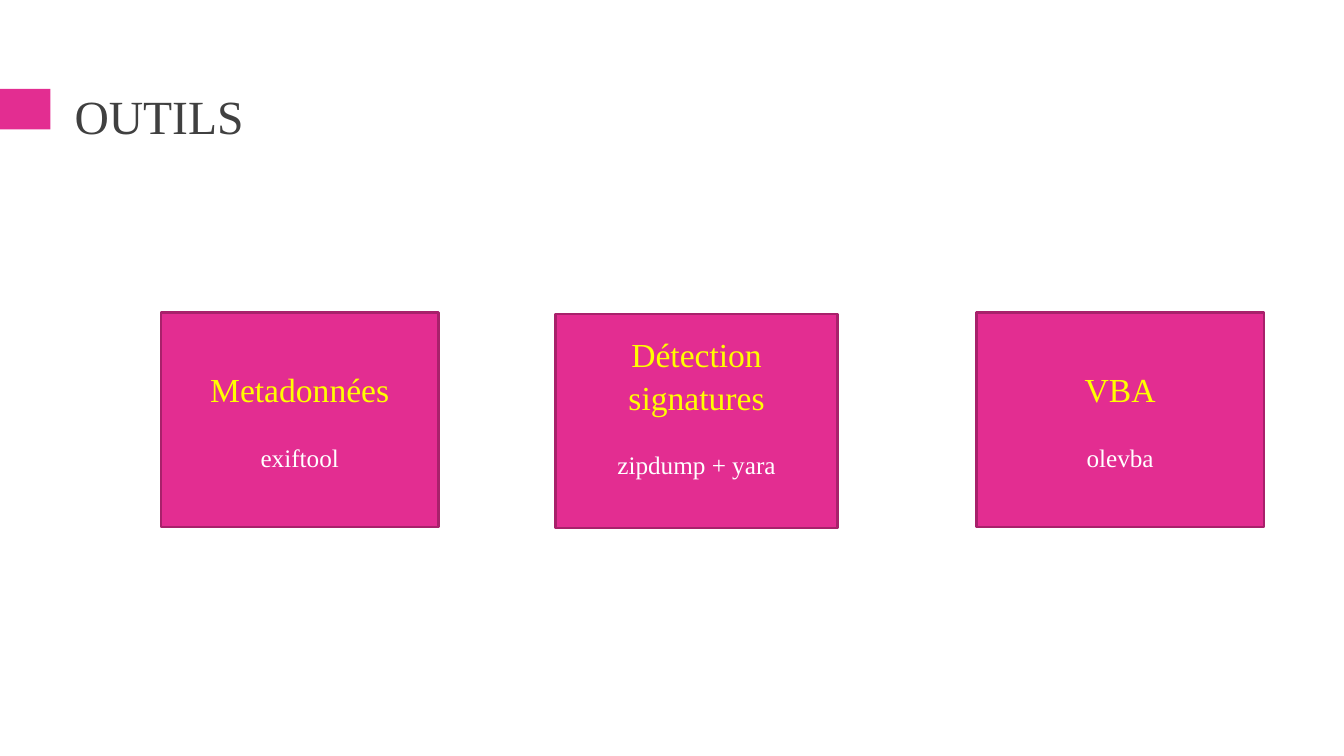
"""Build the slide that lists the analysis tools."""
from pptx import Presentation as Deck
from pptx.dml.color import RGBColor as Color
from pptx.enum.shapes import MSO_SHAPE as Shape
from pptx.enum.text import MSO_ANCHOR as Anchor, PP_ALIGN as Align
from pptx.util import Cm, Pt

PINK = Color(0xE3, 0x2D, 0x91)
PLUM = Color(0xA8, 0x21, 0x6B)
GREY = Color(0x40, 0x40, 0x40)
YELLOW = Color(0xFF, 0xFF, 0x00)
WHITE = Color(0xFF, 0xFF, 0xFF)
FONT = "Times New Roman"
GAP = 22

TOOLS = [
    ("Metadonnées", "exiftool", (4.06, 7.87, 6.99, 5.41), 0),
    ("Détection signatures", "zipdump + yara", (14, 7.92, 7.11, 5.38), GAP),
    ("VBA", "olevba", (24.61, 7.87, 7.24, 5.41), 0),
]


def write(para, text, size, color):
    """Put text in a paragraph and format it."""
    para.text = text
    font = para.runs[0].font
    font.name, font.size = FONT, Pt(size)
    font.color.rgb = color


def block(slide, box):
    """Draw a plain pink rectangle in the box."""
    rect = slide.shapes.add_shape(Shape.RECTANGLE, *map(Cm, box))
    rect.shadow.inherit = False
    rect.fill.solid()
    rect.fill.fore_color.rgb = PINK
    rect.line.fill.background()
    return rect


def header(slide, text, box):
    """Draw the title in the box, with a pink tab from the slide's edge."""
    left, top, width, height = box
    block(slide, (0, top + 0.28, left - 0.36, 1.02))
    frame = slide.shapes.add_textbox(*map(Cm, box)).text_frame
    frame.word_wrap = True
    frame.vertical_anchor = Anchor.MIDDLE
    para = frame.paragraphs[0]
    write(para, text, 34, GREY)
    para.line_spacing = 0.9


def card(slide, topic, tool, box, lift):
    """Draw a topic and its tool in the box, with extra room below them."""
    rect = block(slide, box)
    rect.line.color.rgb = PLUM
    rect.line.width = Pt(1.75)
    frame = rect.text_frame
    frame.word_wrap = True
    frame.vertical_anchor = Anchor.MIDDLE
    frame.margin_bottom = Pt(3.6 + lift)
    head, body = frame.paragraphs[0], frame.add_paragraph()
    write(head, topic, 24, YELLOW)
    write(body, tool, 18, WHITE)
    body.space_before = Pt(GAP)
    for para in (head, body):
        para.alignment = Align.CENTER
        para.line_spacing = 1.06


def main():
    """Build and save the deck."""
    deck = Deck()
    deck.slide_width, deck.slide_height = Cm(33.87), Cm(19.05)
    slide = deck.slides.add_slide(deck.slide_layouts[6])
    header(slide, "OUTILS", (1.63, 1.96, 30.63, 2.06))
    for topic, tool, box, lift in TOOLS:
        card(slide, topic, tool, box, lift)
    deck.save("out.pptx")


if __name__ == "__main__":
    main()
